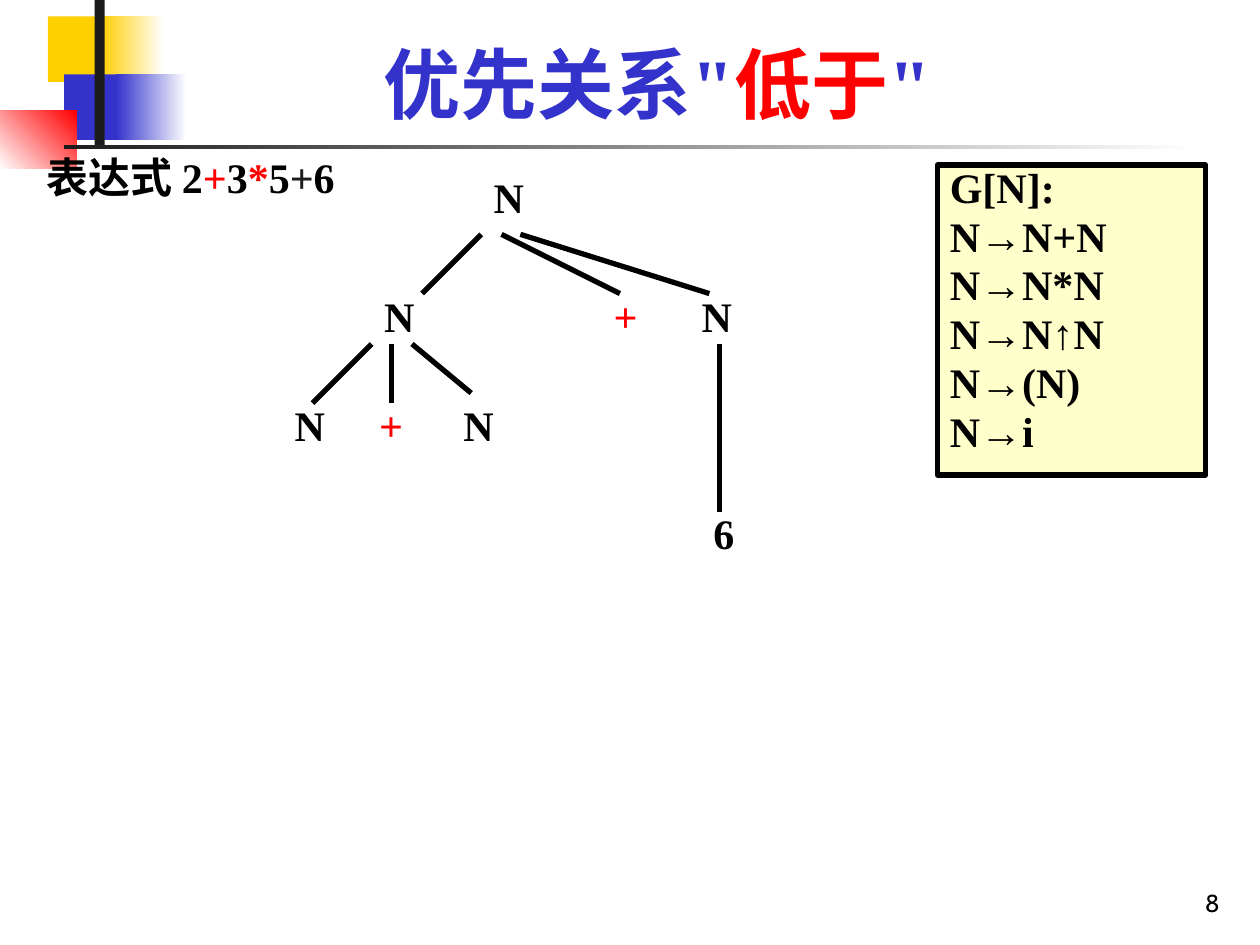
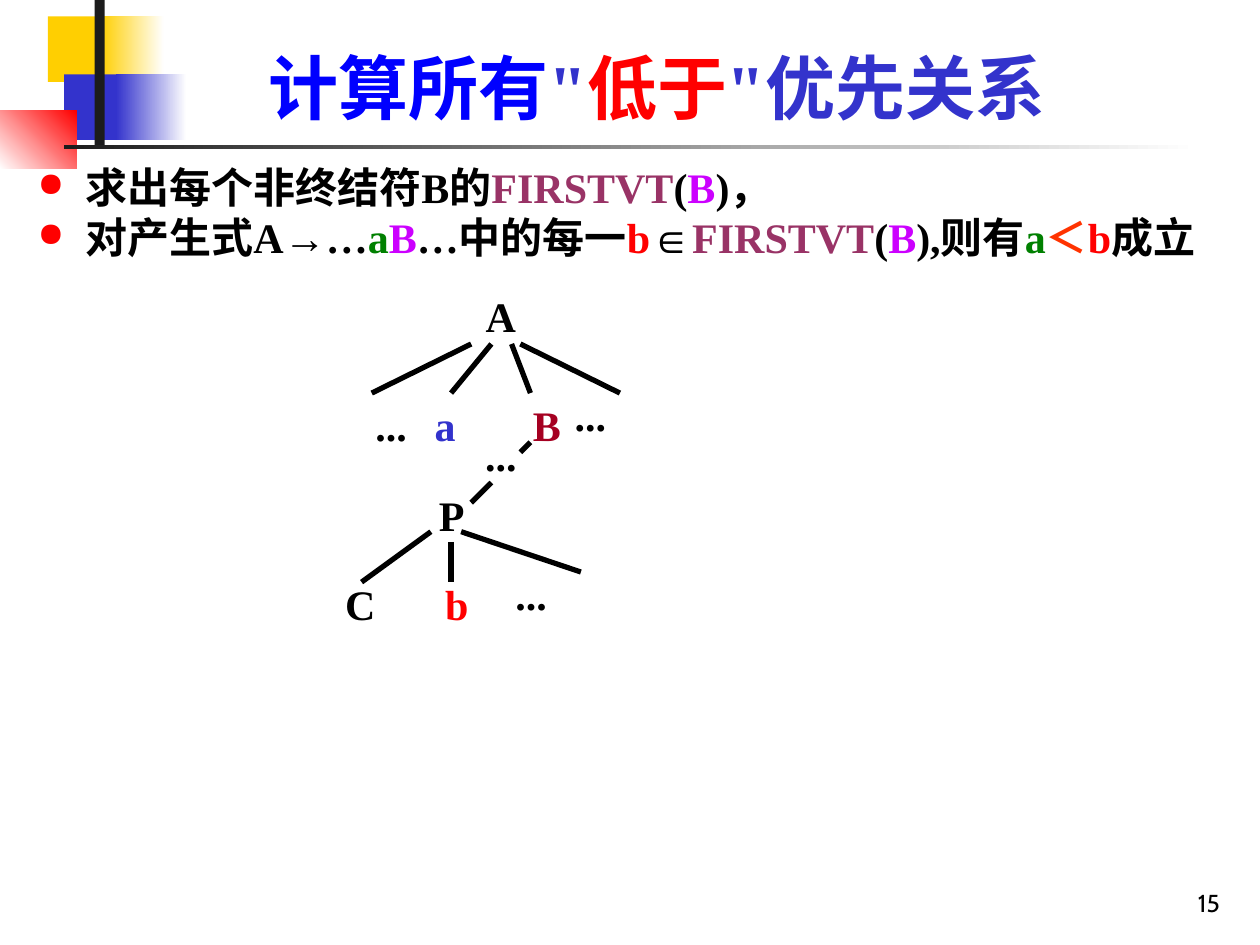
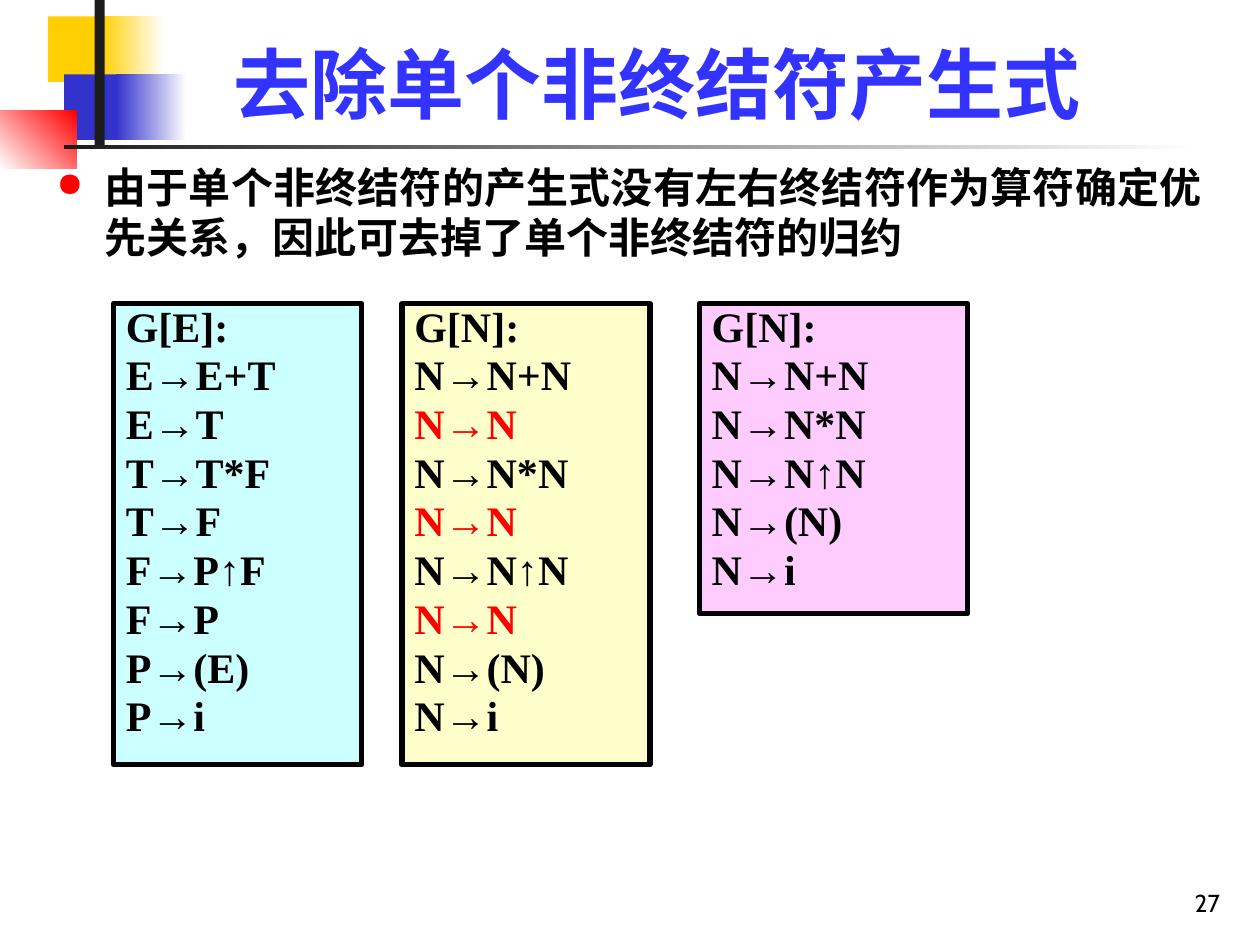
import pptx
import pptx.dml.color
import pptx.enum.shapes
import pptx.enum.text
import pptx.oxml.ns
import pptx.util
from lxml import etree

Inches = pptx.util.Inches
ALIGN = pptx.enum.text.PP_ALIGN
ANCHOR = pptx.enum.text.MSO_ANCHOR

COLOURS = {
    "black": "000000", "white": "FFFFFF", "charcoal": "1C1C1C", "gold": "FFCF01",
    "indigo": "3333CC", "red": "FF0000", "blue": "0000FF", "bright_blue": "3333FF",
    "plum": "993366", "violet": "CC00FF", "green": "008000", "orange": "FF3300",
    "crimson": "A50021", "cream": "FFFFCC", "pink": "FFCCFF", "aqua": "CCFFFF",
}
SERIF = "Times New Roman"
HANGING = 0.38
TITLE_BOX = (1.26, 0.23, 7.91, 0.84)
NUMBER_BOX = (7.7, 6.83, 2.08, 0.5)
LABEL_WIDTH, LABEL_HEIGHT = 0.39, 0.42


def rgb(colour):
    """Return the named colour."""
    return pptx.dml.color.RGBColor.from_string(COLOURS[colour])


def add_property(parent, tag, **attributes):
    """Append a DrawingML element to its parent and return it."""
    element = etree.SubElement(parent, pptx.oxml.ns.qn(tag))
    for name, value in attributes.items():
        element.set(name, str(value))
    return element


def write(frame, paragraphs, size=24, font=SERIF, bold=True, align=ALIGN.LEFT,
          anchor=ANCHOR.TOP, hanging=0, line_spacing=None, before=0, bullet=None, grow=False):
    """Fill a text frame with paragraphs, each a list of (text, colour) runs."""
    frame.word_wrap = True
    frame.vertical_anchor = anchor
    auto_size = pptx.enum.text.MSO_AUTO_SIZE
    frame.auto_size = auto_size.SHAPE_TO_FIT_TEXT if grow else auto_size.NONE
    for index, runs in enumerate(paragraphs):
        paragraph = frame.add_paragraph() if index else frame.paragraphs[0]
        paragraph.alignment = align
        paragraph.line_spacing = line_spacing
        properties = paragraph._p.get_or_add_pPr()
        if hanging:
            properties.set("marL", str(Inches(hanging)))
            properties.set("indent", str(-Inches(hanging)))
        if before:
            spacing = add_property(properties, "a:spcBef")
            add_property(spacing, "a:spcPct", val=before * 1000)
        if bullet:
            tint = add_property(properties, "a:buClr")
            add_property(tint, "a:srgbClr", val=COLOURS["red"])
            add_property(properties, "a:buSzPct", val=80000)
            add_property(properties, "a:buChar", char=bullet)
        for text, colour in runs:
            run = paragraph.add_run()
            run.text = text
            run.font.name = font
            run.font.size = pptx.util.Pt(size)
            run.font.bold = bold
            run.font.color.rgb = rgb(colour)


def add_text(slide, box, paragraphs, **text_format):
    """Place formatted text in a box given in inches."""
    frame = slide.shapes.add_textbox(*map(Inches, box)).text_frame
    write(frame, paragraphs, **text_format)


def add_panel(slide, box, fill, fade_to=None, angle=0):
    """Draw a borderless rectangle, plain or fading to a second colour."""
    panel = slide.shapes.add_shape(pptx.enum.shapes.MSO_SHAPE.RECTANGLE, *map(Inches, box))
    panel.shadow.inherit = False
    panel.line.fill.background()
    if fade_to:
        panel.fill.gradient()
        panel.fill.gradient_angle = angle
        for stop, colour in zip(panel.fill.gradient_stops, (fill, fade_to)):
            stop.color.rgb = rgb(colour)
    else:
        panel.fill.solid()
        panel.fill.fore_color.rgb = rgb(fill)
    return panel


def add_ornament(slide):
    """Draw the coloured squares and the two rules behind the title."""
    add_panel(slide, (0.38, 0.13, 0.67, 0.52), "gold")
    add_panel(slide, (0.8, 0.13, 0.5, 0.52), "gold", "white")
    add_panel(slide, (0.51, 0.59, 0.64, 0.52), "indigo")
    add_panel(slide, (0.92, 0.59, 0.56, 0.52), "indigo", "white")
    add_panel(slide, (0, 0.88, 0.61, 0.46), "white", "red", angle=45)
    add_panel(slide, (0.75, 0, 0.08, 1.15), "charcoal")
    add_panel(slide, (0.51, 1.15, 9, 0.03), "charcoal", "white")


def start_slide(deck, number, title, title_size=44):
    """Add a slide with the shared ornament, its number and its title."""
    slide = deck.slides.add_slide(deck.slide_layouts[6])
    add_ornament(slide)
    add_text(slide, NUMBER_BOX, [[(number, "black")]], size=14, font="Cabin", bold=False,
             align=ALIGN.RIGHT, anchor=ANCHOR.BOTTOM)
    add_text(slide, TITLE_BOX, [title], size=title_size, align=ALIGN.CENTER,
             anchor=ANCHOR.BOTTOM)
    return slide


def add_bullets(slide, box, points):
    """Place justified points with red bullets."""
    add_text(slide, box, points, align=ALIGN.JUSTIFY, hanging=HANGING, bullet="●")


def add_grammar(slide, box, fill, rules, redundant=None):
    """Draw a framed grammar, with its redundant rules in red."""
    grammar = add_panel(slide, box, fill)
    grammar.line.color.rgb = rgb("black")
    grammar.line.width = pptx.util.Pt(3)
    lines = [[(rule, "red" if rule == redundant else "black")] for rule in rules.split()]
    write(grammar.text_frame, lines, hanging=HANGING, line_spacing=0.8, before=20, grow=True)


def add_tree(slide, origin, nodes, branches):
    """Draw a syntax tree whose nodes and branches are measured from its origin."""
    left, top = origin
    for symbol, x, y, width, colour in nodes:
        add_text(slide, (left + x, top + y, width, LABEL_HEIGHT), [[(symbol, colour)]],
                 align=ALIGN.CENTER, hanging=HANGING, line_spacing=0.8, before=50, grow=True)
    for x1, y1, x2, y2 in branches:
        ends = (left + x1, top + y1, left + x2, top + y2)
        branch = slide.shapes.add_connector(pptx.enum.shapes.MSO_CONNECTOR.STRAIGHT,
                                            *map(Inches, ends))
        branch.line.color.rgb = rgb("black")
        branch.line.width = pptx.util.Pt(3)
        add_property(branch._element.spPr, "a:effectLst")


def build_lower_precedence(deck):
    """Show the tree of an expression beside its grammar."""
    slide = start_slide(deck, "8", [("优先关系\"", "indigo"), ("低于", "red"), ("\"", "indigo")])
    expression = [("表达式 2", "black"), ("+", "red"), ("3", "black"), ("*", "red"),
                  ("5", "black"), ("+", "charcoal"), ("6", "black")]
    add_text(slide, (0.27, 1.23, 9.73, 0.47), [expression], hanging=HANGING,
             line_spacing=0.8, before=20)
    add_grammar(slide, (7.44, 1.31, 2.13, 2.46), "cream", "G[N]: N→N+N N→N*N N→N↑N N→(N) N→i")
    nodes = [
        ("N", 1.58, 0, LABEL_WIDTH, "black"),
        ("N", 0.71, 0.94, LABEL_WIDTH, "black"),
        ("+", 2.45, 0.94, 0.55, "red"),
        ("N", 3.23, 0.94, LABEL_WIDTH, "black"),
        ("N", 0, 1.81, LABEL_WIDTH, "black"),
        ("+", 0.63, 1.81, 0.47, "red"),
        ("N", 1.34, 1.81, LABEL_WIDTH, "black"),
        ("6", 3.31, 2.67, LABEL_WIDTH, "black"),
    ]
    branches = [
        (1.11, 0.94, 1.58, 0.47), (2.68, 0.94, 1.74, 0.47), (3.39, 0.94, 1.89, 0.47),
        (0.24, 1.81, 0.71, 1.34), (0.87, 1.81, 0.87, 1.34), (1.5, 1.73, 1.03, 1.34),
        (3.47, 2.67, 3.47, 1.34),
    ]
    add_tree(slide, (2.24, 1.39), nodes, branches)


def build_computing_precedence(deck):
    """Show how FIRSTVT gives every lower precedence relation."""
    title = [("计算所有", "blue"), ("\"", "indigo"), ("低于", "red"), ("\"优先关系", "indigo")]
    slide = start_slide(deck, "15", title, title_size=40)
    first_set = [("FIRSTVT", "plum"), ("(", "black"), ("B", "violet")]
    add_bullets(slide, (0.2, 1.23, 9.8, 6.06), [
        [("求出每个非终结符B的", "black"), *first_set, (")，", "black")],
        [("对产生式A→…", "black"), ("a", "green"), ("B", "violet"), ("…中的每一", "black"),
         ("b", "red"), ("∈", "black"), *first_set, ("),则有", "black"), ("a", "green"),
         ("＜", "orange"), ("b", "red"), ("成立", "black")],
    ])
    nodes = [
        ("A", 1.1, 0, 0.47, "black"),
        ("...", 0.23, 0.87, 0.47, "black"),
        ("a", 0.71, 0.87, 0.31, "indigo"),
        ("B", 1.49, 0.87, LABEL_WIDTH, "crimson"),
        ("...", 1.81, 0.79, 0.47, "black"),
        ("...", 1.1, 1.11, 0.47, "black"),
        ("P", 0.63, 1.58, 0.63, "black"),
        ("C", 0, 2.29, LABEL_WIDTH, "black"),
        ("b", 0.79, 2.29, LABEL_WIDTH, "red"),
        ("...", 1.34, 2.21, 0.47, "black"),
    ]
    branches = [
        (1.1, 0.4, 0.31, 0.79), (1.26, 0.4, 0.94, 0.79), (1.42, 0.4, 1.57, 0.79),
        (1.49, 0.4, 2.28, 0.79), (1.57, 1.18, 1.49, 1.26), (1.26, 1.5, 1.1, 1.66),
        (0.78, 1.89, 0.23, 2.29), (0.94, 1.97, 0.94, 2.29), (1.02, 1.89, 1.97, 2.21),
    ]
    add_tree(slide, (2.64, 2.33), nodes, branches)


def build_removing_productions(deck):
    """Show a grammar losing its single nonterminal productions."""
    slide = start_slide(deck, "27", [("去除单个非终结符产生式", "bright_blue")])
    reason = "由于单个非终结符的产生式没有左右终结符作为算符确定优先关系，因此可去掉了单个非终结符的归约"
    add_bullets(slide, (0.35, 1.23, 9.29, 1.02), [[(reason, "black")]])
    add_grammar(slide, (5.55, 2.41, 2.13, 2.46), "pink", "G[N]: N→N+N N→N*N N→N↑N N→(N) N→i")
    add_grammar(slide, (3.19, 2.41, 1.97, 3.66), "cream",
                "G[N]: N→N+N N→N N→N*N N→N N→N↑N N→N N→(N) N→i", redundant="N→N")
    add_grammar(slide, (0.9, 2.41, 1.97, 3.66), "aqua",
                "G[E]: E→E+T E→T T→T*F T→F F→P↑F F→P P→(E) P→i")


def main():
    """Build the three slides and save them."""
    deck = pptx.Presentation()
    deck.slide_width, deck.slide_height = Inches(10), Inches(7.5)
    build_lower_precedence(deck)
    build_computing_precedence(deck)
    build_removing_productions(deck)
    deck.save("out.pptx")


if __name__ == "__main__":
    main()
